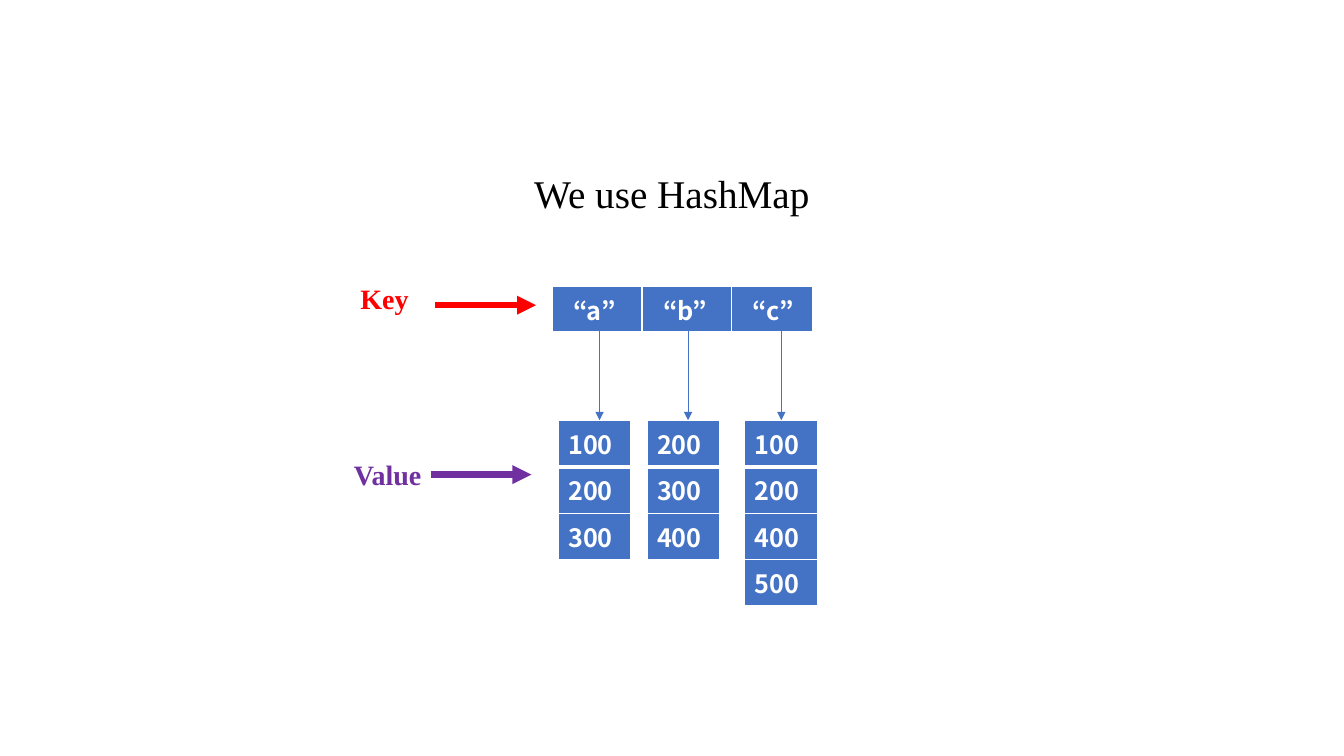
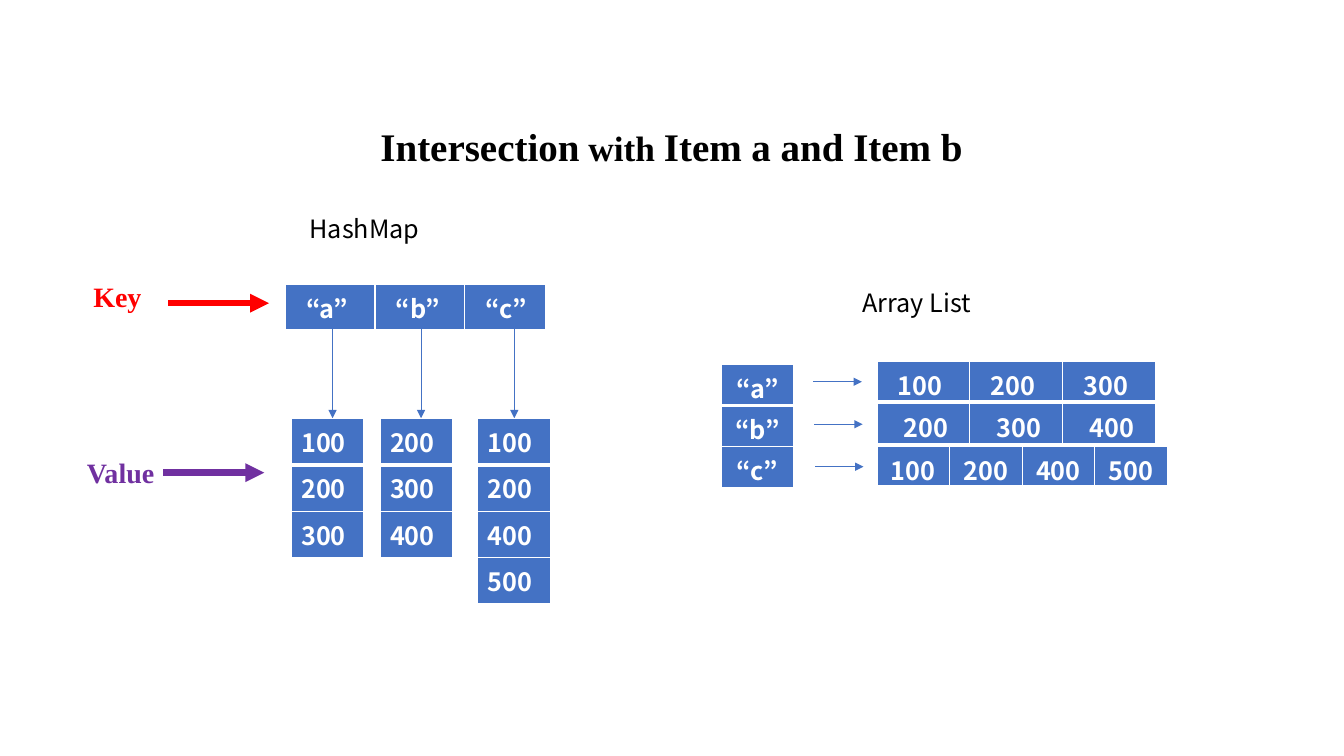
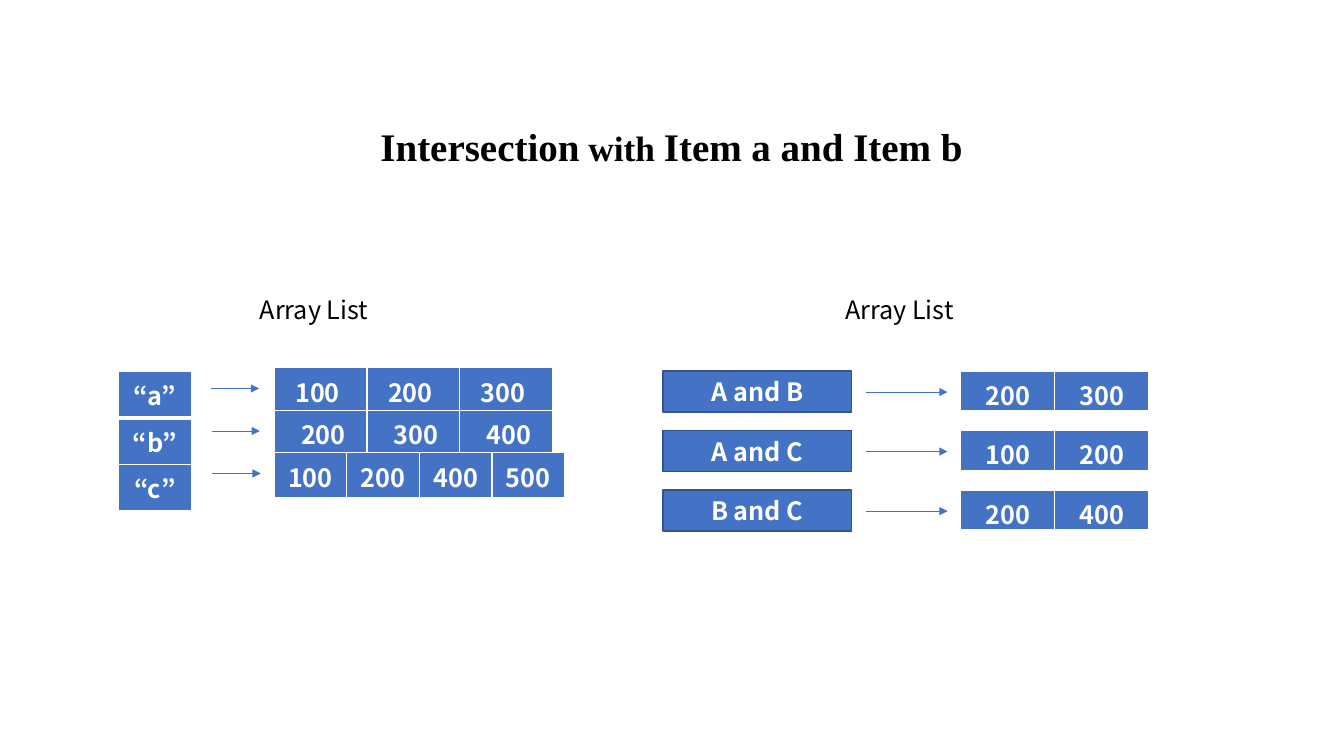
from lxml.etree import SubElement
from pptx import Presentation
from pptx.dml.color import RGBColor
from pptx.enum.shapes import MSO_CONNECTOR, MSO_SHAPE
from pptx.enum.text import MSO_ANCHOR, PP_ALIGN
from pptx.oxml import parse_xml
from pptx.oxml.ns import nsdecls, qn
from pptx.util import Cm, Pt

# Shared style
BLUE = RGBColor(0x44, 0x72, 0xC4)
DARK_BLUE = RGBColor(0x32, 0x54, 0x91)
RED = RGBColor(0xFF, 0x00, 0x00)
PURPLE = RGBColor(0x70, 0x30, 0xA0)
BLACK = RGBColor(0x00, 0x00, 0x00)
WHITE = RGBColor(0xFF, 0xFF, 0xFF)
SERIF, SANS = "Times New Roman", "Noto Sans CJK KR"
ROW, TIGHT_ROW = 1.17, 1.03  # row heights; tight rows have no bottom margin
MARGIN = 0.25
LEFT, CENTER = PP_ALIGN.LEFT, PP_ALIGN.CENTER

# Content: titles are (text, size, bold) runs
HASHMAP_TITLE = [("We use HashMap", 28, False)]
INTERSECTION_TITLE = [("Intersection", 27.9, True), (" with ", 25.2, True),
                      ("Item a and Item b", 27.9, True)]
KEYS = ["“a”", "“b”", "“c”"]
KEY_WIDTHS = [2.26, 2.26, 2.05]
# Values of each key, with list left and arrow x, both from the map's left
HASHMAP = [(["100", "200", "300"], 0.15, 1.19),
           (["200", "300", "400"], 2.39, 3.42),
           (["100", "200", "400", "500"], 4.85, 5.77)]
# Label, colour, label left and top, arrow start and y, from the map's corner
POINTERS = [("Key", RED, -5.64, -0.25, -2.95, 0.48),
            ("Value", PURPLE, -5.56, 4.19, -3.07, 4.75)]
# Values, column width, alignment, extra left margin
ARRAYS = [(["100", "200", "300"], 2.34, LEFT, 0.28),
          (["200", "300", "400"], 2.34, CENTER, 0.14),
          (["100", "200", "400", "500"], 1.83, CENTER, 0)]
INTERSECTIONS = [("A and B", ["200", "300"]),
                 ("A and C", ["100", "200"]),
                 ("B and C", ["200", "400"])]


def add_run(paragraph, text, size, color, font, bold=False):
    run = paragraph.add_run()
    run.text = text
    run.font.size, run.font.bold, run.font.name = Pt(size), bold, font
    run.font.color.rgb = color


def add_text(slide, x, y, w, h, runs, color=BLACK, font=SANS):
    frame = slide.shapes.add_textbox(Cm(x), Cm(y), Cm(w), Cm(h)).text_frame
    frame.word_wrap = True
    paragraph = frame.paragraphs[0]
    paragraph.alignment = CENTER
    for text, size, bold in runs:
        add_run(paragraph, text, size, color, font, bold)
    return frame


def add_title(slide, x, y, w, h, runs):
    frame = add_text(slide, x, y, w, h, runs, font=SERIF)
    frame.vertical_anchor = MSO_ANCHOR.MIDDLE
    frame.paragraphs[0].line_spacing = 0.9


def add_arrow(slide, x1, y1, x2, y2, color=BLUE, width=0.5):
    arrow = slide.shapes.add_connector(
        MSO_CONNECTOR.STRAIGHT, Cm(x1), Cm(y1), Cm(x2), Cm(y2))
    arrow.line.color.rgb, arrow.line.width = color, Pt(width)
    SubElement(arrow.line._get_or_add_ln(), qn("a:tailEnd"), type="triangle")
    SubElement(arrow._element.spPr, qn("a:effectLst"))


def set_borders(cell, top, bottom):
    widths = {"lnL": 1, "lnR": 1, "lnT": top, "lnB": bottom}
    for place, (tag, width) in enumerate(widths.items()):
        cell._tc.get_or_add_tcPr().insert(place, parse_xml(
            f'<a:{tag} {nsdecls("a")} w="{Pt(width)}"><a:solidFill>'
            f'<a:srgbClr val="{WHITE}"/></a:solidFill></a:{tag}>'))


def add_grid(slide, x, y, rows, widths, align=LEFT, indent=0, tight=False):
    height = TIGHT_ROW if tight else ROW
    table = slide.shapes.add_table(
        len(rows), len(widths), Cm(x), Cm(y),
        Cm(sum(widths)), Cm(height * len(rows))).table
    table.first_row = table.horz_banding = False
    for column, width in zip(table.columns, widths):
        column.width = Cm(width)
    for r, values in enumerate(rows):
        table.rows[r].height = Cm(height)
        for c, value in enumerate(values):
            cell = table.cell(r, c)
            cell.fill.solid()
            cell.fill.fore_color.rgb = BLUE
            cell.margin_left = Cm(MARGIN + indent)
            if tight:
                cell.margin_bottom = 0
            set_borders(cell, 3 if r == 1 else 1, 3 if r == 0 else 1)
            paragraph = cell.text_frame.paragraphs[0]
            paragraph.alignment = align
            add_run(paragraph, value, 18, WHITE, SANS, True)


def column_of(values):
    return [[value] for value in values]


def add_hashmap(slide, x, y):
    list_top = y + 3.38
    add_grid(slide, x, y, [KEYS], KEY_WIDTHS, indent=0.28)
    for values, list_x, arrow_x in HASHMAP:
        add_arrow(slide, x + arrow_x, y + 1.02, x + arrow_x, list_top)
        add_grid(slide, x + list_x, list_top, column_of(values), [1.83])
    for label, color, label_x, label_y, arrow_x, arrow_y in POINTERS:
        add_text(slide, x + label_x, y + label_y, 2.82, 1.12,
                 [(label, 20, True)], color, SERIF)
        add_arrow(slide, x + arrow_x, y + arrow_y,
                  x + arrow_x + 2.54, y + arrow_y, color, 4.5)


def add_list_label(slide, x, y, label):
    add_text(slide, x, y, 8.81, 1.02, [(label, 18, False)])


def add_arrays(slide, x, y, tight):
    add_list_label(slide, x - 3.4, y - 1.98, "Array List")
    add_grid(slide, x - 3.92, y + 0.09, column_of(KEYS), [1.83], CENTER,
             tight=tight)
    for i, (values, width, align, indent) in enumerate(ARRAYS):
        top = y + 1.07 * i
        add_grid(slide, x, top, [values], [width] * len(values), align,
                 indent, tight)
        shift = 0.02 * i
        add_arrow(slide, x - 1.6 + shift, top + 0.52,
                  x - 0.38 + shift, top + 0.52)


def add_intersections(slide, x, y):
    add_list_label(slide, x + 1.55, y - 2.06, "Array List")
    for i, (pair, values) in enumerate(INTERSECTIONS):
        top = y + 1.5 * i
        box = slide.shapes.add_shape(
            MSO_SHAPE.RECTANGLE, Cm(x), Cm(top), Cm(4.75), Cm(1.03))
        box.shadow.inherit = False
        box.fill.solid()
        box.fill.fore_color.rgb = BLUE
        box.line.color.rgb, box.line.width = DARK_BLUE, Pt(1)
        box.text_frame.vertical_anchor = MSO_ANCHOR.MIDDLE
        paragraph = box.text_frame.paragraphs[0]
        paragraph.alignment = CENTER
        add_run(paragraph, pair, 18, WHITE, SANS, True)
        add_arrow(slide, x + 5.11, top + 0.53, x + 7.17, top + 0.53)
        add_grid(slide, x + 7.5, top, [values], [2.37] * 2, CENTER, tight=True)


def main():
    deck = Presentation()
    deck.slide_width, deck.slide_height = Cm(33.87), Cm(19.05)
    map_slide, lists_slide, result_slide = (
        deck.slides.add_slide(deck.slide_layouts[6]) for _ in range(3))

    # The map alone
    add_title(map_slide, 12.7, 4.14, 8.46, 1.57, HASHMAP_TITLE)
    add_hashmap(map_slide, 13.92, 7.21)

    # The map turned into array lists
    for slide in (lists_slide, result_slide):
        add_title(slide, 7.44, 3.18, 18.97, 1.12, INTERSECTION_TITLE)
    add_list_label(lists_slide, 4.78, 5.26, "HashMap")
    add_hashmap(lists_slide, 7.19, 7.16)
    add_arrays(lists_slide, 22.1, 9.1, tight=True)

    # The array lists and their intersections
    add_arrays(result_slide, 6.91, 9.27, tight=False)
    add_intersections(result_slide, 16.71, 9.35)

    deck.save("out.pptx")


if __name__ == "__main__":
    main()
